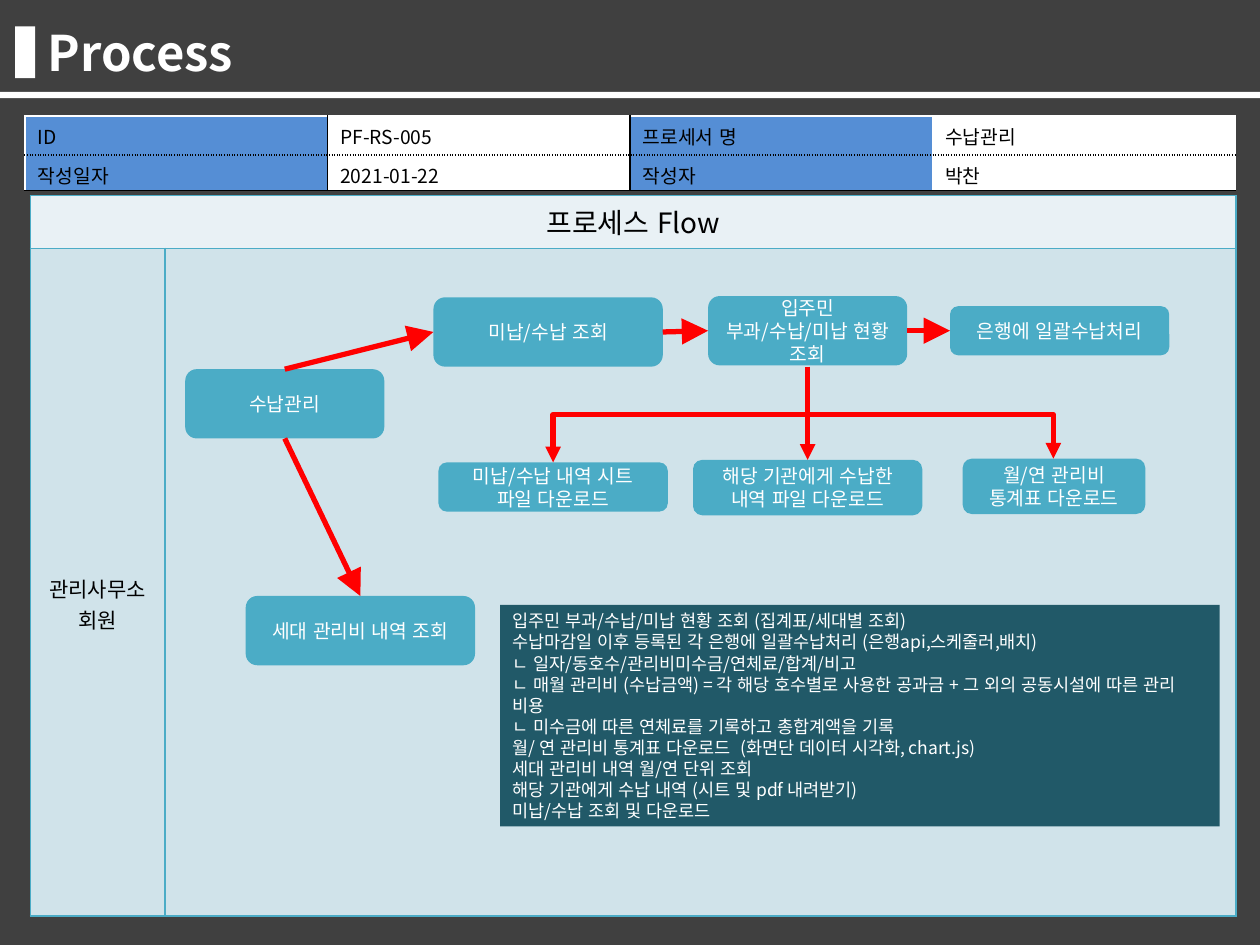
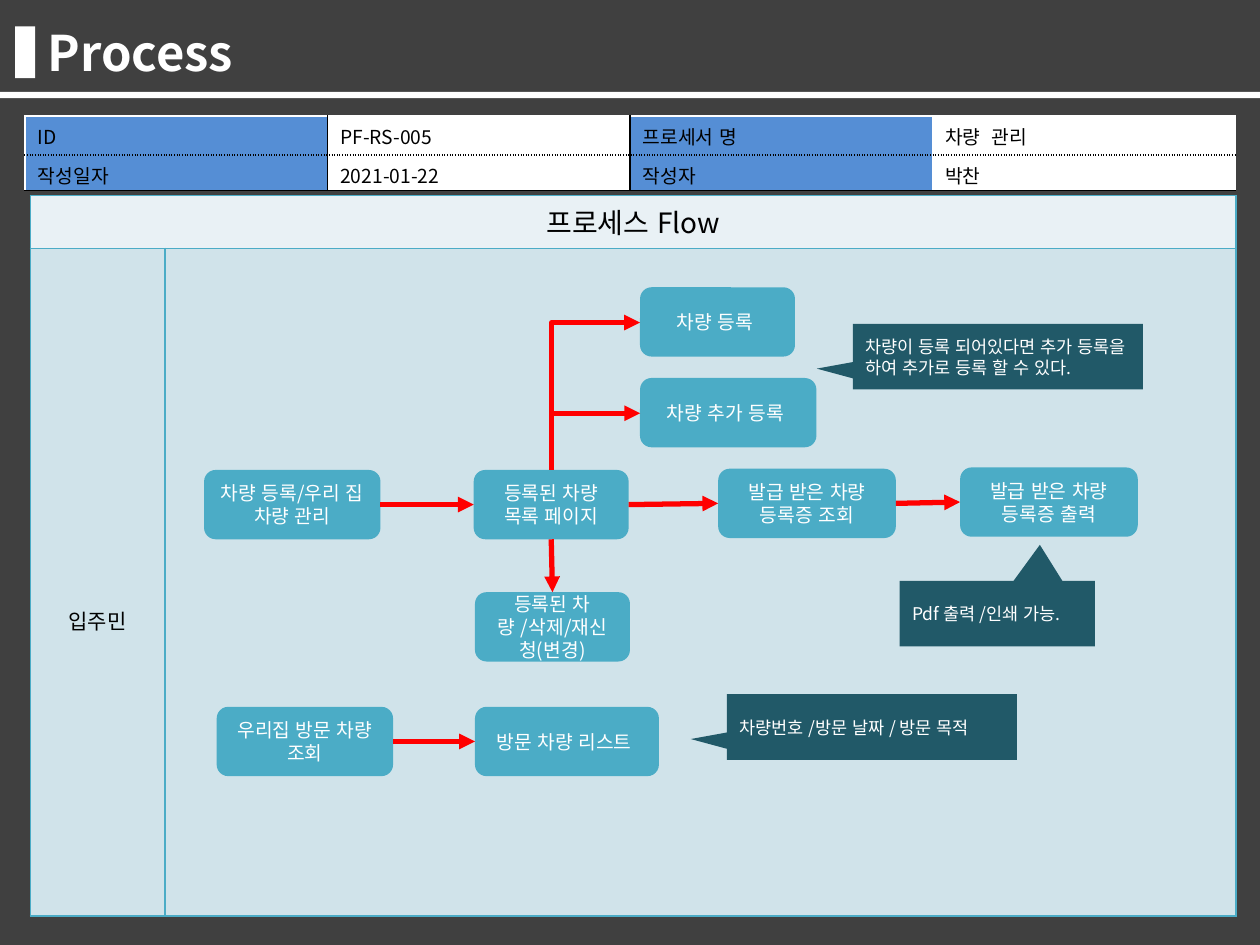
from dataclasses import dataclass

from pptx import Presentation, util as u
from pptx.dml.color import RGBColor
from pptx.enum import lang, shapes, text
from pptx.oxml import parse_xml
from pptx.oxml.ns import nsdecls

I = u.Inches
SHAPE = shapes.MSO_SHAPE
LINE = shapes.MSO_CONNECTOR
LEFT, CENTER = text.PP_ALIGN.LEFT, text.PP_ALIGN.CENTER
TOP, MIDDLE = text.MSO_ANCHOR.TOP, text.MSO_ANCHOR.MIDDLE


@dataclass(frozen=True)
class Theme:
    font: str = "Noto Sans CJK KR"
    back: str = "404040"
    white: str = "FFFFFF"
    black: str = "000000"
    label: str = "558ED5"
    head: str = "E9F1F5"
    lane: str = "D0E3EA"
    node: str = "4BACC6"
    note: str = "215968"
    arrow: str = "FF0000"
    title_size: int = 28
    head_size: int = 16
    lane_size: int = 12
    node_size: int = 11
    note_size: int = 10


@dataclass(frozen=True)
class Box:
    x: float
    y: float
    w: float
    h: float

    def inner(self, x, y, w, h):
        return Box(self.x + x, self.y + y, w, h)

    def lengths(self):
        return [I(v) for v in (self.x, self.y, self.w, self.h)]


T = Theme()
TITLE = Box(0.28, 0.13, 8.98, 0.57)
INFO = Box(0.2, 0.92, 9.6, 0.59)
PANEL = Box(0.24, 1.55, 9.57, 5.72)
LANE = Box(1.3, 2, 8.5, 5.27)
NODE_H, NOTE_H = 0.55, 0.52
# Connection sites of a rounded rectangle
N, W, S, E = range(4)


def rgb(value):
    return RGBColor.from_string(value)


def write(tf, lines, size, color, align=LEFT, bold=False):
    """Fill a text frame with one paragraph per line."""
    tf.word_wrap = True
    for i, line in enumerate(lines):
        p = tf.paragraphs[0] if i == 0 else tf.add_paragraph()
        p.alignment = align
        r = p.add_run()
        r.text = line
        look = {"size": u.Pt(size), "bold": bold, "name": T.font,
                "language_id": lang.MSO_LANGUAGE_ID.KOREAN}
        for key, value in look.items():
            setattr(r.font, key, value)
        r.font.color.rgb = rgb(color)
        r.font._element.append(parse_xml(
            f'<a:ea {nsdecls("a")} typeface="{T.font}"/>'))


def block(slide, box, fill, kind=SHAPE.RECTANGLE):
    sp = slide.shapes.add_shape(kind, *box.lengths())
    sp.shadow.inherit = False
    sp.fill.solid()
    sp.fill.fore_color.rgb = rgb(fill)
    sp.line.fill.background()
    return sp


# Tables
def add_grid(slide, box, widths, heights):
    table = slide.shapes.add_table(len(heights), len(widths), *box.lengths()).table
    table.first_row = table.horz_banding = False
    for col, w in zip(table.columns, widths):
        col.width = I(w)
    for row, h in zip(table.rows, heights):
        row.height = I(h)
    return table


def style_cell(cell, fill, borders):
    """Borders are (color, dash) for left, right, top and bottom."""
    cell.fill.solid()
    cell.fill.fore_color.rgb = rgb(fill)
    tc_pr = cell._tc.get_or_add_tcPr()
    for i, (side, (color, dash)) in enumerate(zip("LRTB", borders)):
        tc_pr.insert(i, parse_xml(
            f'<a:ln{side} {nsdecls("a")} w="12700"><a:solidFill>'
            f'<a:srgbClr val="{color}"/></a:solidFill>'
            f'<a:prstDash val="{dash}"/></a:ln{side}>'))


def info_table(slide, box, name):
    rows = [["ID ", "PF-RS-005", "프로세서 명", name],
            ["작성일자", "2021-01-22", "작성자", "박찬"]]
    white, black, dots = (T.white, "solid"), (T.black, "solid"), (T.black, "sysDot")
    across = [white, black, black, white, white]
    down = [white, dots, black]
    table = add_grid(slide, box, [box.w / 4] * 4, [0.31, 0.28])
    for i, row in enumerate(rows):
        for j, value in enumerate(row):
            cell = table.cell(i, j)
            cell.margin_bottom = I(0.01)
            write(cell.text_frame, [value], T.node_size, T.black)
            style_cell(cell, T.white if j % 2 else T.label,
                       [across[j], across[j + 1], down[i], down[i + 1]])


def flow_panel(slide, box, actor, actor_top):
    table = add_grid(slide, box, [1.07, box.w - 1.07], [0.42, box.h - 0.42])
    for i, fill in enumerate((T.head, T.lane)):
        for j in range(2):
            style_cell(table.cell(i, j), fill, [(T.node, "solid")] * 4)
    table.cell(0, 0).merge(table.cell(0, 1))
    write(table.cell(0, 0).text_frame, ["프로세스 Flow"], T.head_size, T.black, CENTER)
    cell = table.cell(1, 0)
    cell.vertical_anchor = TOP
    cell.margin_top = I(actor_top)
    write(cell.text_frame, [actor], T.lane_size, T.black, CENTER)


# Flow parts, placed inside a lane
def add_nodes(slide, lane, items):
    nodes = {}
    for key, (label, x, y, w, h) in items.items():
        sp = block(slide, lane.inner(x, y, w, h), T.node, SHAPE.ROUNDED_RECTANGLE)
        sp.text_frame.vertical_anchor = MIDDLE
        write(sp.text_frame, [label], T.node_size, T.white, CENTER)
        nodes[key] = sp
    return nodes


def add_note(slide, box, lines, tip=None):
    sp = block(slide, box, T.note,
               SHAPE.RECTANGULAR_CALLOUT if tip else SHAPE.RECTANGLE)
    for i, value in enumerate(tip or ()):
        sp.adjustments[i] = value
    sp.text_frame.vertical_anchor = MIDDLE
    write(sp.text_frame, lines, T.note_size, T.white)


def arrow(slide, start, end, kind=LINE.STRAIGHT, head="med"):
    c = slide.shapes.add_connector(kind, *[I(v) for v in (*start, *end)])
    c.line.color.rgb = rgb(T.arrow)
    c.line.width = u.Pt(3)
    c.line._get_or_add_ln().append(parse_xml(
        f'<a:tailEnd {nsdecls("a")} type="triangle" w="{head}" len="{head}"/>'))
    c._element.spPr.append(parse_xml(f'<a:effectLst {nsdecls("a")}/>'))
    return c


def link(slide, nodes, links, head="med"):
    for a, site_a, b, site_b in links:
        c = arrow(slide, (0, 0), (1, 1), head=head)
        c.begin_connect(nodes[a], site_a)
        c.end_connect(nodes[b], site_b)


def branch(slide, lane, start, end):
    arrow(slide, *[(lane.x + x, lane.y + y) for x, y in (start, end)])


def elbow(slide, lane, start, end, preset, turn=0):
    """A bent arrow: its unturned box, then a turn about the centre."""
    (x1, y1), (x2, y2) = start, end
    w, h = abs(x2 - x1), abs(y2 - y1)
    if turn % 180:
        w, h = h, w
    x = lane.x + (x1 + x2 - w) / 2
    y = lane.y + (y1 + y2 - h) / 2
    c = arrow(slide, (x, y), (x + w, y + h), LINE.ELBOW)
    sp_pr = c._element.spPr
    sp_pr.prstGeom.set("prst", preset)
    sp_pr.xfrm.set("rot", str(turn * 60000))


# Slides
def process_slide(prs, name, actor, actor_top):
    slide = prs.slides.add_slide(prs.slide_layouts[5])
    slide.background.fill.solid()
    slide.background.fill.fore_color.rgb = rgb(T.back)
    title = slide.shapes.title
    for key, value in zip(("left", "top", "width", "height"), TITLE.lengths()):
        setattr(title, key, value)
    title.text_frame.auto_size = text.MSO_AUTO_SIZE.NONE
    title.text_frame.vertical_anchor = MIDDLE
    write(title.text_frame, ["Process"], T.title_size, T.white, bold=True)
    block(slide, Box(0.12, 0.21, 0.16, 0.41), T.white)
    block(slide, Box(0, 0.73, 10, 0.05), T.white)
    flow_panel(slide, PANEL, actor, actor_top)
    info_table(slide, INFO, name)
    return slide


def payment_slide(prs, lane):
    slide = process_slide(prs, "수납관리", "관리사무소 회원", 2.58)
    nodes = add_nodes(slide, lane, {
        "start": ("수납관리", 0.17, 0.93, 1.58, NODE_H),
        "unpaid": ("미납/수납 조회", 2.14, 0.36, 1.82, NODE_H),
        "status": ("입주민 부과/수납/미납 현황 조회", 4.32, 0.35, 1.58, NODE_H),
        "bank": ("은행에 일괄수납처리", 6.24, 0.43, 1.74, 0.39),
        "sheet": ("미납/수납 내역 시트 파일 다운로드", 2.18, 1.67, 1.82, 0.39),
        "agency": ("해당 기관에게 수납한 내역 파일 다운로드", 4.2, 1.65, 1.82, 0.44),
        "stats": ("월/연 관리비 통계표 다운로드", 6.34, 1.64, 1.45, 0.44),
        "household": ("세대 관리비 내역 조회", 0.65, 2.73, 1.82, NODE_H),
    })
    link(slide, nodes, [("start", N, "unpaid", W), ("start", S, "household", N),
                        ("unpaid", E, "status", W), ("status", E, "bank", W)], "lg")
    # Three downloads below the status node
    fork = (5.11, 1.29)
    elbow(slide, lane, (5.11, 0.91), (3.09, 1.67), "bentConnector3", 90)
    elbow(slide, lane, fork, (7.06, 1.64), "bentConnector2")
    branch(slide, lane, fork, (5.11, 1.65))
    add_note(slide, lane.inner(2.67, 2.8, 5.71, 1.76), [
        "입주민 부과/수납/미납 현황 조회 (집계표/세대별 조회)",
        "수납마감일 이후 등록된 각 은행에 일괄수납처리 (은행api,스케줄러,배치)",
        "ㄴ 일자/동호수/관리비미수금/연체료/합계/비고",
        "ㄴ 매월 관리비 (수납금액) = 각 해당 호수별로 사용한 공과금 + "
        "그 외의 공동시설에 따른 관리 비용",
        "ㄴ 미수금에 따른 연체료를 기록하고 총합계액을 기록",
        "월/ 연 관리비 통계표 다운로드  (화면단 데이터 시각화, chart.js)",
        "세대 관리비 내역 월/연 단위 조회",
        "해당 기관에게 수납 내역 (시트 및 pdf 내려받기)",
        "미납/수납 조회 및 다운로드",
    ])


def vehicle_slide(prs, lane):
    slide = process_slide(prs, "차량  관리", "입주민", 2.83)
    nodes = add_nodes(slide, lane, {
        "manage": ("차량 등록/우리 집 차량 관리", 0.32, 1.73, 1.4, NODE_H),
        "list": ("등록된 차량 목록 페이지", 2.46, 1.73, 1.23, NODE_H),
        "register": ("차량 등록 ", 3.78, 0.28, 1.23, NODE_H),
        "add": ("차량 추가 등록 ", 3.78, 1, 1.4, NODE_H),
        "view": ("발급 받은 차량 등록증 조회", 4.4, 1.72, 1.41, NODE_H),
        "print": ("발급 받은 차량 등록증 출력", 6.32, 1.71, 1.41, NODE_H),
        "change": ("등록된 차량 /삭제/재신청(변경)", 2.47, 2.7, 1.23, NODE_H),
        "visits": ("우리집 방문 차량 조회", 0.42, 3.61, 1.4, NODE_H),
        "visit list": ("방문 차량 리스트 ", 2.47, 3.61, 1.46, NODE_H),
    })
    link(slide, nodes, [("manage", E, "list", W), ("list", E, "view", W),
                        ("view", E, "print", W), ("list", S, "change", N),
                        ("visits", E, "visit list", W)])
    # Two registrations above the list node
    elbow(slide, lane, (3.08, 1.73), (3.78, 0.56), "bentConnector2", 270)
    branch(slide, lane, (3.08, 1.28), (3.78, 1.28))
    # Callouts
    left_tip, top_tip = (-0.625, 0.184), (0.218, -1.05)
    for label, x, y, w, tip in [
        ("차량번호 /방문 날짜 / 방문 목적 ", 4.47, 3.51, 2.3, left_tip),
        ("차량이 등록 되어있다면 추가 등록을 하여 추가로 등록 할 수 있다.",
         5.47, 0.57, 2.3, left_tip),
        ("Pdf 출력 /인쇄 가능.", 5.84, 2.61, 1.55, top_tip),
    ]:
        add_note(slide, lane.inner(x, y, w, NOTE_H), [label], tip)


prs = Presentation()
prs.slide_width, prs.slide_height = I(10), I(7.5)
payment_slide(prs, LANE)
vehicle_slide(prs, LANE)
prs.save("out.pptx")
